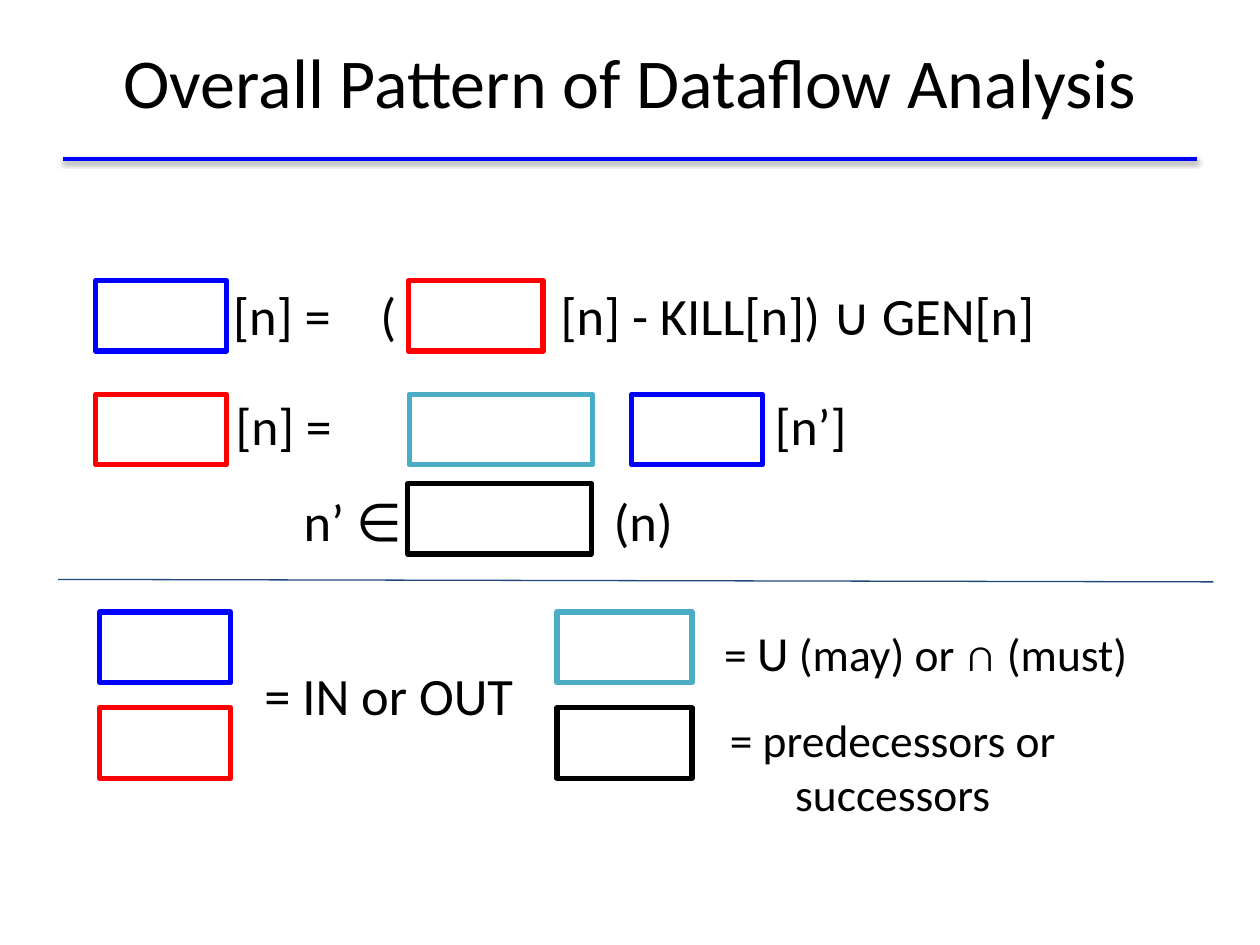
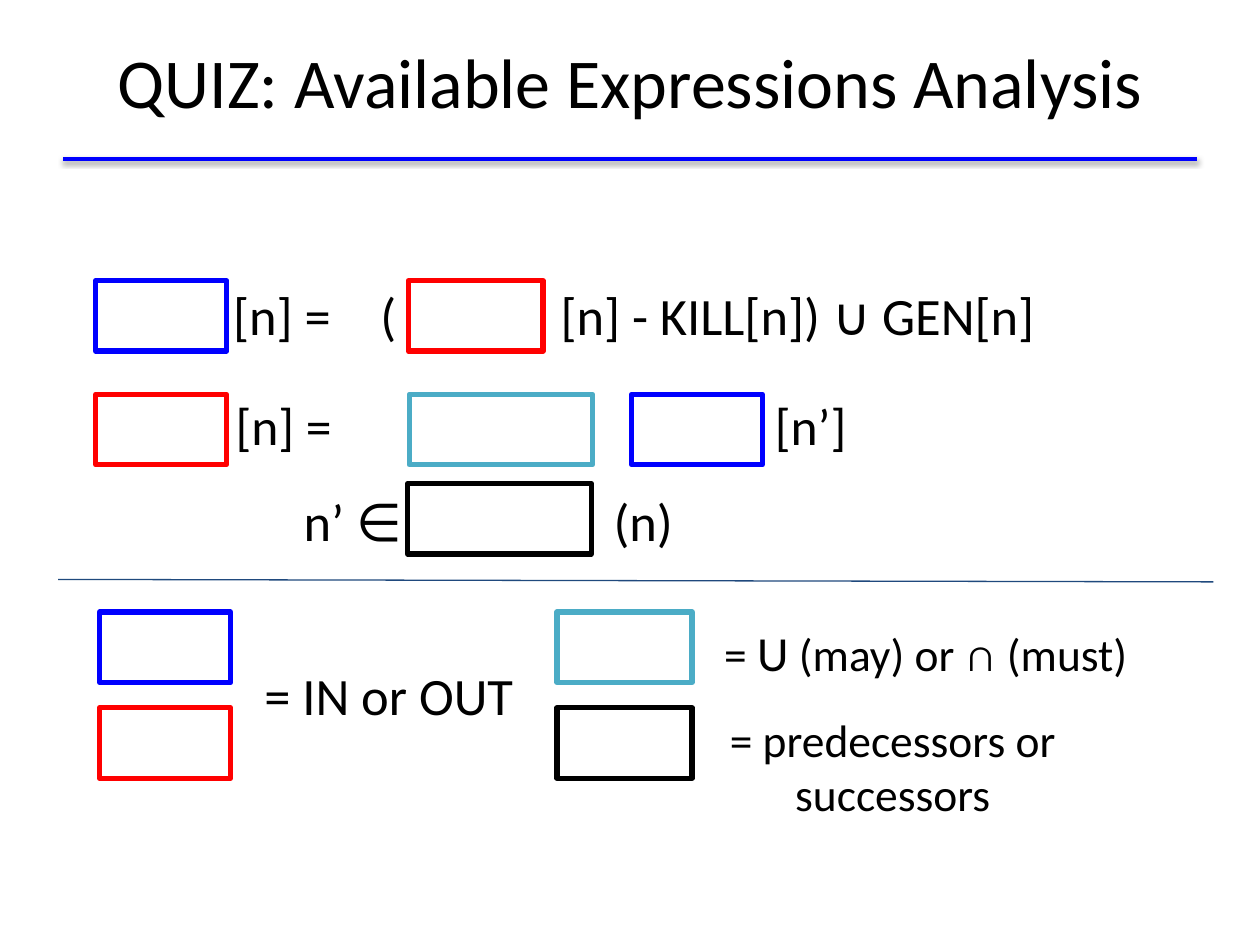
"""Build two slides on the general pattern of dataflow analysis."""
from lxml.etree import SubElement
from pptx import Presentation
from pptx.dml.color import RGBColor
from pptx.enum.shapes import MSO_CONNECTOR, MSO_SHAPE
from pptx.enum.text import MSO_ANCHOR as Anchor, PP_ALIGN as Align
from pptx.oxml.ns import qn
from pptx.util import Cm, Pt

BLUE = RGBColor(0x00, 0x00, 0xFF)
RED = RGBColor(0xFF, 0x00, 0x00)
TEAL = RGBColor(0x4B, 0xAC, 0xC6)
BLACK = RGBColor(0x00, 0x00, 0x00)
NAVY = RGBColor(0x1F, 0x49, 0x7D)
FONT = "Calibri"
INSET = 0.25
BLANK_HEIGHT = 1.42

TITLES = ["Overall Pattern of Dataflow Analysis", "QUIZ: Available Expressions Analysis"]

FORMULAS = [
    ("\t[n] =\t(\t[n] - KILL[n]) ∪ GEN[n]", 30, (2.59, 5.38, 22.8, 1.9), (1.86, 4.83, 8.46)),
    ("\t[n] =\t[n’]", 29.5, (1.27, 7.62, 17.25, 1.9), (3.23, 14.1)),
    ("n’ ∈\t(n)", 30, (5.87, 9.53, 8.43, 1.47), (6.25,)),
]

BLANK_ROWS = [
    (5.66, [(1.93, 2.64, BLUE), (8.23, 2.72, RED)]),
    (7.95, [(1.93, 2.64, RED), (8.25, 3.7, TEAL), (12.73, 2.64, BLUE)]),
    (9.75, [(8.22, 3.7, BLACK)]),
    (12.34, [(2.01, 2.64, BLUE), (11.23, 2.72, TEAL)]),
    (14.27, [(2.01, 2.64, RED), (11.23, 2.72, BLACK)]),
]

IN_OUT = ([("= IN or OUT", 30)], (5.08, 13.11, 5.82, 1.6))
NEIGHBOURS = ([("= predecessors or successors", 26)], (14.05, 14.1, 7.9, 2.46))
MERGE = ([("= ", 26), ("U", 28), (" (may) or ∩ (must)", 26)], (14.35, 12.45, 11.05, 1.19))


def style(paragraph, size):
    font = paragraph.font
    font.name, font.size, font.color.rgb = FONT, Pt(size), BLACK


def set_frame(frame, inset_y, anchor):
    frame.word_wrap = True
    frame.vertical_anchor = anchor
    frame.margin_left = frame.margin_right = Cm(INSET)
    frame.margin_top = frame.margin_bottom = Cm(inset_y)


def space_out(paragraph):
    paragraph.line_spacing = 1.15
    paragraph.space_before = Pt(5.9)


def add_text(slide, pieces, place, inset_y=INSET, anchor=Anchor.TOP):
    frame = slide.shapes.add_textbox(*map(Cm, place)).text_frame
    set_frame(frame, inset_y, anchor)
    paragraph = frame.paragraphs[0]
    main_size = pieces[0][1]
    style(paragraph, main_size)
    for words, size in pieces:
        run = paragraph.add_run()
        run.text = words
        if size != main_size:
            run.font.size = Pt(size)
    return paragraph


def add_formula(slide, words, size, place, stops):
    paragraph = add_text(slide, [(words, size)], place, inset_y=0.13)
    space_out(paragraph)
    properties = paragraph._p.get_or_add_pPr()
    tabs = properties.makeelement(qn("a:tabLst"), {})
    for stop in stops:
        SubElement(tabs, qn("a:tab"), pos=str(Cm(stop)), algn="l")
    properties.find(qn("a:defRPr")).addprevious(tabs)


def add_blank(slide, x, y, width, color):
    blank = slide.shapes.add_shape(
        MSO_SHAPE.RECTANGLE, Cm(x), Cm(y), Cm(width), Cm(BLANK_HEIGHT))
    blank.shadow.inherit = False
    blank.fill.background()
    blank.line.color.rgb = color
    blank.line.width = Pt(3)


def add_rule(slide, ends, color, width):
    rule = slide.shapes.add_connector(MSO_CONNECTOR.STRAIGHT, *map(Cm, ends))
    rule.line.color.rgb = color
    rule.line.width = Pt(width)
    return SubElement(rule._element.spPr, qn("a:effectLst"))


def add_heading(slide, words):
    effects = add_rule(slide, (1.27, 3.2, 24.13, 3.2), BLUE, 2)
    shadow = SubElement(effects, qn("a:outerShdw"), blurRad=str(Pt(3.1)),
                        dist=str(Pt(1.6)), dir="5400000", rotWithShape="0")
    shade = SubElement(shadow, qn("a:srgbClr"), val=str(BLACK))
    SubElement(shade, qn("a:alpha"), val="38000")
    title = slide.shapes.title
    title.left, title.top, title.width, title.height = map(Cm, (1.27, 0.03, 22.86, 3.17))
    title.text_frame.text = words
    set_frame(title.text_frame, INSET, Anchor.MIDDLE)
    paragraph = title.text_frame.paragraphs[0]
    paragraph.alignment = Align.CENTER
    style(paragraph, 40)


def add_pattern(slide):
    for formula in FORMULAS:
        add_formula(slide, *formula)
    for y, blanks in BLANK_ROWS:
        for x, width, color in blanks:
            add_blank(slide, x, y, width, color)
    add_rule(slide, (1.17, 11.68, 24.46, 11.73), NAVY, 0.75)
    add_text(slide, *IN_OUT)
    add_text(slide, *NEIGHBOURS).alignment = Align.CENTER
    space_out(add_text(slide, *MERGE, anchor=Anchor.MIDDLE))


deck = Presentation()
deck.slide_width, deck.slide_height = Cm(25.4), Cm(19.05)
title_only = deck.slide_layouts[5]
for heading in TITLES:
    page = deck.slides.add_slide(title_only)
    add_heading(page, heading)
    add_pattern(page)
deck.save("out.pptx")
